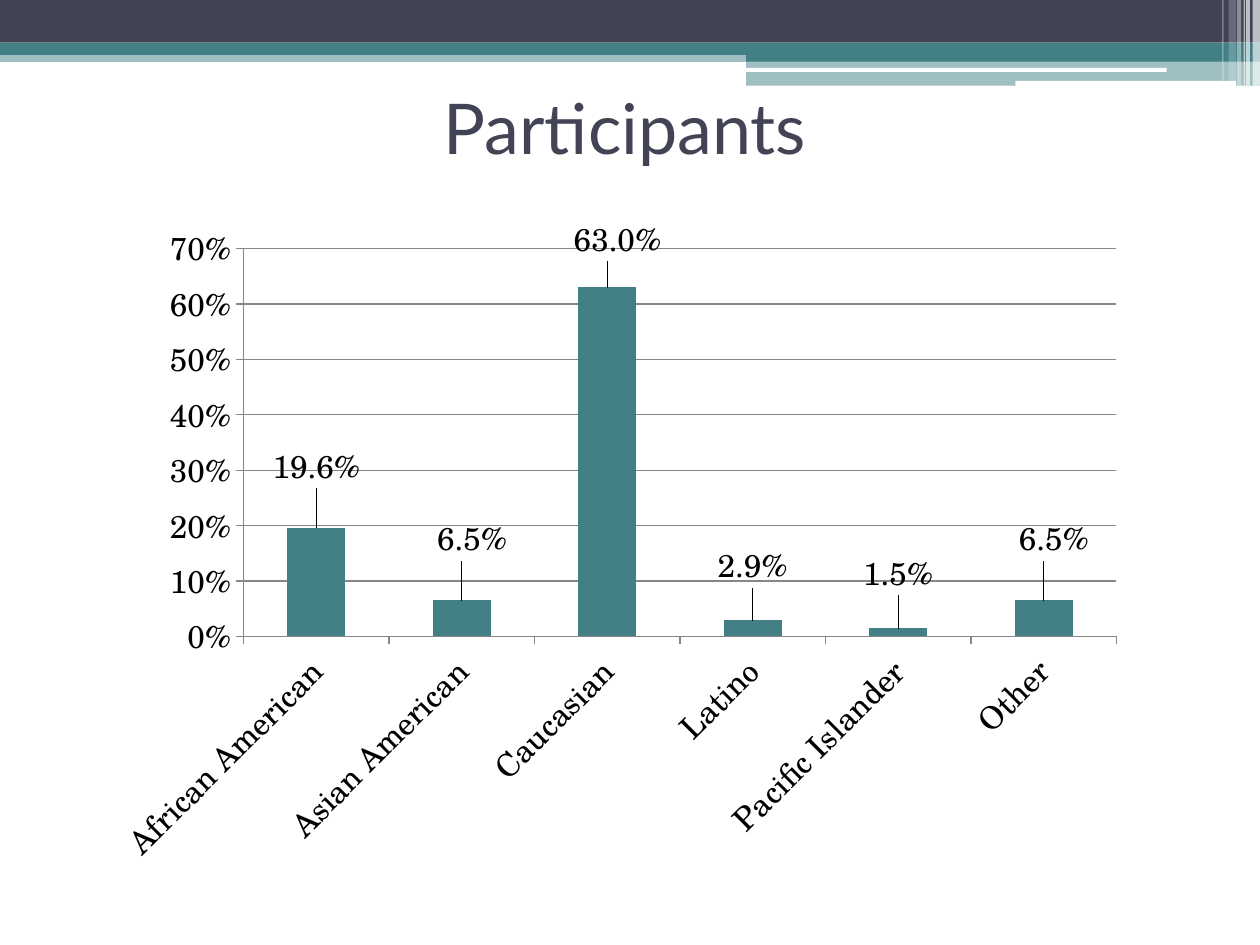
from lxml.etree import SubElement
from pptx import Presentation
from pptx.chart.data import CategoryChartData
from pptx.dml.color import RGBColor
from pptx.enum.chart import XL_CHART_TYPE as ChartType, XL_LABEL_POSITION as LabelPosition
from pptx.enum.chart import XL_TICK_MARK as TickMark
from pptx.enum.shapes import MSO_SHAPE as Shape
from pptx.enum.text import MSO_ANCHOR as Anchor, PP_ALIGN as Align
from pptx.oxml import parse_xml
from pptx.oxml.ns import nsdecls, qn
from pptx.util import Cm, Pt

NAVY = RGBColor(0x42, 0x44, 0x56)
TEAL = RGBColor(0x43, 0x80, 0x86)
WHITE = RGBColor(0xFF, 0xFF, 0xFF)
BLACK = RGBColor(0, 0, 0)
GRAY = RGBColor(0x86, 0x86, 0x86)

BANDS = [
    (0, 1.02, 25.4, 0.23, TEAL, 50),
    (0, 0, 25.4, 0.86, NAVY, 100),
    (0, 0.86, 25.4, 0.25, TEAL, 100),
    (15.04, 0.99, 10.36, 0.25, TEAL, 100),
    (15.04, 1.22, 10.36, 0.51, TEAL, 50),
]
RULES = [(15.01, 1.37, 8.51, 0.08), (20.47, 1.63, 4.45, 0.1)]
STRIPES = [
    (25.25, 0.15, 1.73, 65),
    (25.12, 0.08, 1.73, 65),
    (25.07, 0.03, 1.73, 60),
    (24.94, 0.08, 1.73, 40),
    (24.77, 0.15, 1.63, 20),
    (24.64, 0.03, 1.63, 30),
]
PARTICIPANTS = {
    "African American": 0.196,
    "Asian American": 0.065,
    "Caucasian": 0.63,
    "Latino": 0.029,
    "Pacific Islander": 0.015,
    "Other": 0.065,
}
LABEL_SHIFTS = [(0, -0.05), (0.01, -0.05), (0.01, -0.03), (0, -0.04), (0, -0.04), (0.01, -0.05)]
PLOT_AREA = {"x": 0.135, "y": 0.056, "w": 0.848, "h": 0.568}


def apply(target, values):
    for name, value in values.items():
        setattr(target, name, value)


def manual_layout(settings):
    tags = "".join(f'<c:{tag} val="{value}"/>' for tag, value in settings.items())
    return parse_xml(
        f'<c:layout {nsdecls("c")}><c:manualLayout>{tags}</c:manualLayout></c:layout>'
    )


class SlideBuilder:
    """Draws styled elements on the current slide."""

    title_font = {"name": "Lato", "size": Pt(40)}
    chart_font = {"name": "TeX Gyre Schola", "size": Pt(18)}

    def __init__(self, page):
        self.page = page

    def bar(self, left, top, width, height, color, opacity=100, shape=Shape.RECTANGLE):
        box = self.page.shapes.add_shape(shape, Cm(left), Cm(top), Cm(width), Cm(height))
        box.shadow.inherit = False
        box.fill.solid()
        box.fill.fore_color.rgb = color
        box.line.fill.background()
        if opacity < 100:
            tint = box.fill._xPr.find(qn("a:solidFill"))[0]
            SubElement(tint, qn("a:alpha"), val=str(opacity * 1000))

    def title(self, text, left, top, width, height):
        box = self.page.shapes.title
        frame = {"left": left, "top": top, "width": width, "height": height}
        apply(box, {name: Cm(value) for name, value in frame.items()})
        box.text_frame.text = text
        box.text_frame.vertical_anchor = Anchor.MIDDLE
        para = box.text_frame.paragraphs[0]
        para.alignment = Align.CENTER
        span = para.runs[0]
        apply(span.font, self.title_font)
        span.font.color.rgb = NAVY

    def column_chart(self, values, left, top, width, height):
        data = CategoryChartData(number_format="0.0%")
        data.categories = list(values)
        data.add_series("Series 1", list(values.values()))
        chart = self.page.shapes.add_chart(
            ChartType.COLUMN_CLUSTERED, Cm(left), Cm(top), Cm(width), Cm(height), data
        ).chart
        apply(chart, {"has_legend": False, "has_title": False})
        apply(chart.font, self.chart_font)
        chart.font.color.rgb = BLACK
        plot = chart.plots[0]
        apply(plot, {"gap_width": 150, "vary_by_categories": False})
        self.place_plot(chart)
        self.format_axes(chart)
        self.format_series(plot.series[0])

    def place_plot(self, chart):
        area = chart._chartSpace.find(".//" + qn("c:plotArea"))
        for old in area.findall(qn("c:layout")):
            area.remove(old)
        modes = {"layoutTarget": "inner", "xMode": "edge", "yMode": "edge"}
        area.insert(0, manual_layout({**modes, **PLOT_AREA}))

    def format_axes(self, chart):
        category, value = chart.category_axis, chart.value_axis
        apply(value, {"minimum_scale": 0, "maximum_scale": 0.7, "major_unit": 0.1})
        apply(value.tick_labels, {"number_format": "0%", "number_format_is_linked": False})
        for axis in (category, value):
            apply(axis, {"major_tick_mark": TickMark.OUTSIDE, "minor_tick_mark": TickMark.NONE})
            apply(axis.tick_labels.font, self.chart_font)
            axis.tick_labels.font.color.rgb = BLACK
        for line in (category.format.line, value.format.line, value.major_gridlines.format.line):
            line.color.rgb = GRAY
            line.width = Pt(0.75)
        body = category._element.find(qn("c:txPr")).find(qn("a:bodyPr"))
        body.set("rot", "-2700000")
        body.set("vert", "horz")

    def format_series(self, series):
        series.format.fill.solid()
        series.format.fill.fore_color.rgb = TEAL
        labels = series.data_labels
        apply(labels, {
            "show_value": True,
            "number_format": "0.0%",
            "number_format_is_linked": False,
            "position": LabelPosition.OUTSIDE_END,
        })
        for index in range(len(LABEL_SHIFTS)):
            series.points[index].data_label.position = LabelPosition.OUTSIDE_END
        for label, (x, y) in zip(labels._element.findall(qn("c:dLbl")), LABEL_SHIFTS):
            label.insert(1, manual_layout({"x": x, "y": y}))
            label.insert(2, parse_xml(
                f'<c:numFmt {nsdecls("c")} formatCode="0.0%" sourceLinked="0"/>'
            ))


def main():
    deck = Presentation()
    apply(deck, {"slide_width": Cm(25.4), "slide_height": Cm(19.05)})
    builder = SlideBuilder(deck.slides.add_slide(deck.slide_layouts[5]))
    for band in BANDS:
        builder.bar(*band)
    for rule in RULES:
        builder.bar(*rule, WHITE, shape=Shape.ROUNDED_RECTANGLE)
    for left, width, height, opacity in STRIPES:
        builder.bar(left, 0, width, height, WHITE, opacity)
    builder.title("Participants", 0, 0.43, 25.2, 4.24)
    builder.column_chart(PARTICIPANTS, 2.11, 4.24, 20.75, 13.77)
    deck.save("out.pptx")


if __name__ == "__main__":
    main()
